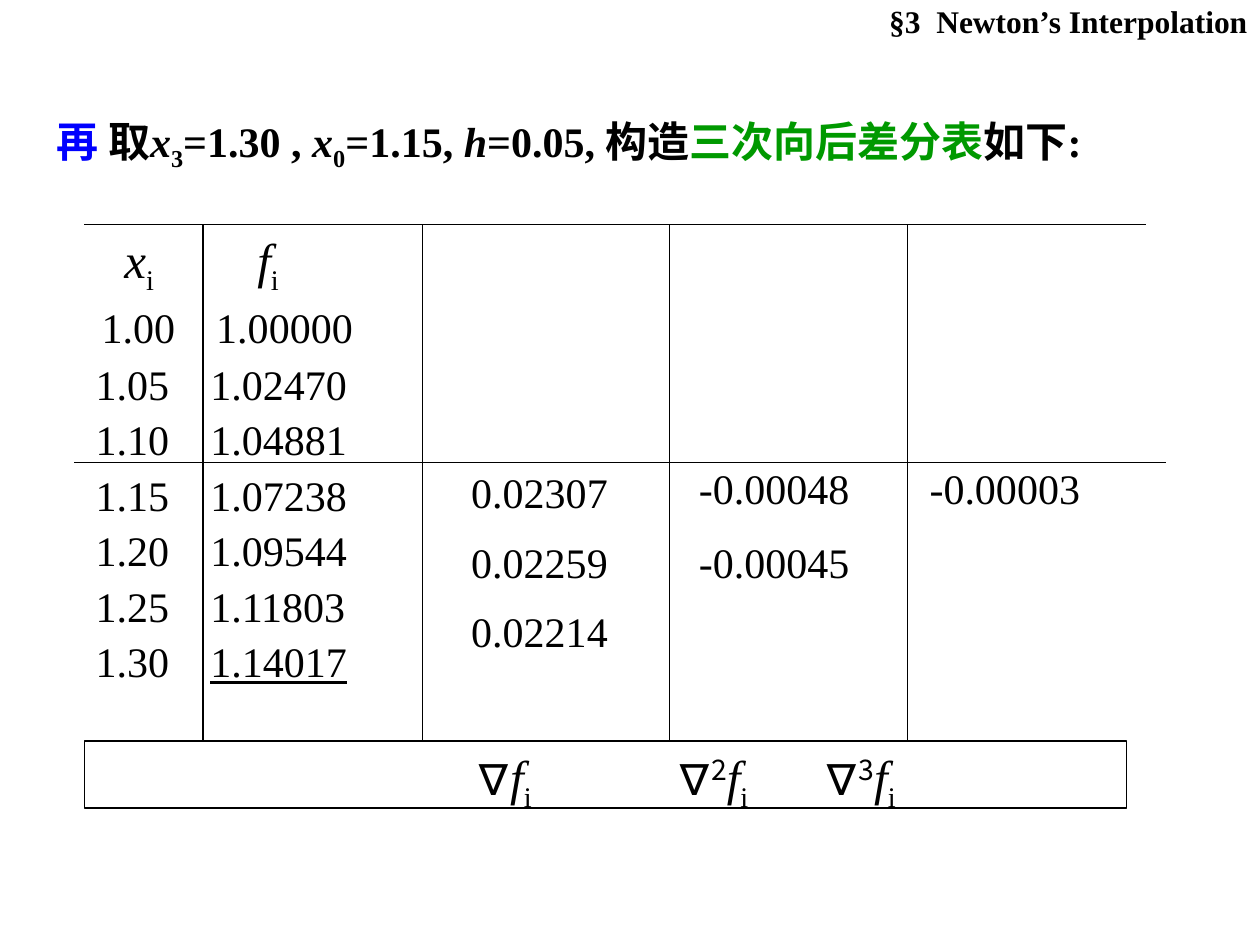
"""Build a slide with a table of third order backward differences."""
from dataclasses import dataclass
from itertools import chain

from lxml.etree import SubElement
from pptx import Presentation
from pptx.dml.color import RGBColor
from pptx.enum.shapes import MSO_CONNECTOR, MSO_SHAPE
from pptx.enum.text import MSO_ANCHOR, MSO_AUTO_SIZE, PP_ALIGN
from pptx.oxml.ns import qn
from pptx.shapes.base import BaseShape
from pptx.slide import Slide
from pptx.text.text import TextFrame, _Paragraph, _Run
from pptx.util import Cm, Pt


@dataclass(frozen=True)
class Theme:
    """Colours, fonts and type sizes."""
    ink: str = "000000"
    blue: str = "0000FF"
    green: str = "009900"
    serif: str = "Times New Roman"
    sans: str = "Noto Sans CJK SC"
    small: float = 18
    body: float = 24
    large: float = 28
    gap: float = 5.8
    rule: float = 0.75


THEME = Theme()


@dataclass(frozen=True)
class Bit:
    """A stretch of text in one style."""
    text: str
    size: float = THEME.body
    color: str = THEME.ink
    font: str = THEME.serif
    bold: bool = False
    slant: bool = False
    under: bool = False
    shift: int = 0


@dataclass(frozen=True)
class Row:
    """A line of text with its tab stops in centimetres."""
    bits: list[Bit]
    tabs: tuple[float, ...] = ()


@dataclass(frozen=True)
class Box:
    """A place on the slide in centimetres."""
    left: float
    top: float
    width: float
    height: float


@dataclass(frozen=True)
class Rule:
    """A straight line in centimetres."""
    x1: float
    y1: float
    x2: float
    y2: float


def style(run: _Run, bit: Bit) -> None:
    """Give a run the look of its bit."""
    font = run.font
    font.name, font.size = bit.font, Pt(bit.size)
    font.bold, font.italic, font.underline = bit.bold, bit.slant, bit.under
    font.color.rgb = RGBColor.from_string(bit.color)
    if bit.shift:
        run._r.get_or_add_rPr().set("baseline", str(bit.shift * 1000))


def set_tabs(para: _Paragraph, tabs: tuple[float, ...]) -> None:
    """Add left tab stops to a paragraph."""
    stops = SubElement(para._p.get_or_add_pPr(), qn("a:tabLst"))
    for tab in tabs:
        SubElement(stops, qn("a:tab"), pos=str(Cm(tab)), algn="l")


def fill_text(frame: TextFrame, rows: list[Row]) -> None:
    """Write rows of bits into a text frame."""
    for index, row in enumerate(rows):
        para = frame.add_paragraph() if index else frame.paragraphs[0]
        para.text = row.bits[0].text
        for bit in row.bits[1:]:
            para.add_run().text = bit.text
        para.alignment = PP_ALIGN.LEFT
        para.line_spacing, para.space_before = 0.9, Pt(THEME.gap)
        if row.tabs:
            set_tabs(para, row.tabs)
        for run, bit in zip(para.runs, row.bits):
            style(run, bit)


def add_text(slide: Slide, box: Box, rows: list[Row], wrap: bool = True) -> BaseShape:
    """Add a text box."""
    shape = slide.shapes.add_textbox(Cm(box.left), Cm(box.top), Cm(box.width), Cm(box.height))
    shape.text_frame.word_wrap = wrap
    shape.text_frame.auto_size = MSO_AUTO_SIZE.SHAPE_TO_FIT_TEXT
    fill_text(shape.text_frame, rows)
    return shape


def add_rule(slide: Slide, rule: Rule) -> None:
    """Add a thin line."""
    line = slide.shapes.add_connector(
        MSO_CONNECTOR.STRAIGHT, Cm(rule.x1), Cm(rule.y1), Cm(rule.x2), Cm(rule.y2))
    line.line.color.rgb = RGBColor.from_string(THEME.ink)
    line.line.width = Pt(THEME.rule)
    SubElement(line._element.spPr, qn("a:effectLst"))


def add_frame(slide: Slide, box: Box, rows: list[Row]) -> None:
    """Add an outlined box of text."""
    shape = slide.shapes.add_shape(
        MSO_SHAPE.RECTANGLE, Cm(box.left), Cm(box.top), Cm(box.width), Cm(box.height))
    shape.shadow.inherit = False
    shape.fill.background()
    shape.line.color.rgb = RGBColor.from_string(THEME.ink)
    shape.line.width = Pt(THEME.rule)
    shape.text_frame.vertical_anchor = MSO_ANCHOR.TOP
    shape.text_frame.word_wrap = True
    fill_text(shape.text_frame, rows)


def term(name: str) -> list[Bit]:
    """Return a letter with the index i."""
    return [Bit(name, THEME.large, slant=True), Bit("i", THEME.large, shift=-25)]


def nabla(power: str) -> list[Bit]:
    """Return a backward difference of f."""
    sign = [Bit("\t∇", THEME.large)]
    if power:
        sign.append(Bit(power, THEME.large, font=THEME.sans, shift=30))
    return sign + term("f")


def head_bits() -> list[Bit]:
    """Return the bits of the lead sentence."""
    def bold(text: str, color: str = THEME.ink, **look) -> Bit:
        return Bit(text, color=color, bold=True, **look)

    return [
        bold("再", THEME.blue), bold(" 取"),
        bold("x", slant=True), bold("3", shift=-25), bold("=1.30 , "),
        bold("x", slant=True), bold("0", shift=-25), bold("=1.15, "),
        bold("h", slant=True), bold("=0.05, 构造"),
        bold("三次向后差分表", THEME.green), bold("如下:"),
    ]


def data_rows() -> list[Row]:
    """Return the rows of nodes and values."""
    first, *rest = [
        ("1.00", "1.00000"), ("1.05", "1.02470"), ("1.10", "1.04881"), ("1.15", "1.07238"),
        ("1.20", "1.09544"), ("1.25", "1.11803"), ("1.30", "1.14017"),
    ]
    tab = Bit("\t", THEME.large)
    rows = [
        Row([tab, *term("x"), tab, *term("f")], (1.22, 3.9)),
        Row([tab, Bit("\t".join(first))], (0.76, 3.07)),
    ]
    for node, value in rest:
        last = node == rest[-1][0]
        rows.append(Row([Bit(f"\t{node}\t"), Bit(value, under=last)], (0.64, 2.95)))
    return rows


def main() -> None:
    """Draw the slide and save it."""
    deck = Presentation()
    deck.slide_width, deck.slide_height = Cm(25.4), Cm(19.05)
    slide = deck.slides.add_slide(deck.slide_layouts[6])

    top, mid, base = 4.52, 9.32, 14.94
    add_text(slide, Box(0.89, 2.21, 21.51, 1.17), [Row(head_bits())])
    add_text(slide, Box(1.04, top, 21.51, 9.42), data_rows())
    signs = list(chain.from_iterable(nabla(power) for power in ("", "2", "3")))
    add_frame(slide, Box(1.7, base, 21.01, 1.35), [Row(signs, (7.68, 11.73, 14.7))])

    steps = [
        (9.25, 9.4, 3.3, ["0.02307", "0.02259", "0.02214"]),
        (13.84, mid, 3.58, ["-0.00048", "-0.00045"]),
        (18.49, mid, 3.58, ["-0.00003"]),
    ]
    for left, start, width, values in steps:
        for index, value in enumerate(values):
            level = 9.4 + 1.4 * index if index else start
            add_text(slide, Box(left, level, width, 1.17), [Row([Bit(value)])], wrap=False)

    rules = [Rule(1.7, top, 23.11, top), Rule(1.5, mid, 23.5, mid)]
    rules += [Rule(x, top, x, base) for x in (4.09, 8.51, 13.49, 18.29)]
    for rule in rules:
        add_rule(slide, rule)

    label = Bit("§3  Newton’s Interpolation", THEME.small, bold=True)
    title = add_text(slide, Box(16.31, 0, 9.09, 0.84), [Row([label])]).text_frame
    title.auto_size, title.vertical_anchor = MSO_AUTO_SIZE.NONE, MSO_ANCHOR.MIDDLE
    para = title.paragraphs[0]
    para.alignment, para.line_spacing, para.space_before = PP_ALIGN.RIGHT, 1.0, Pt(0)
    deck.save("out.pptx")


if __name__ == "__main__":
    main()
